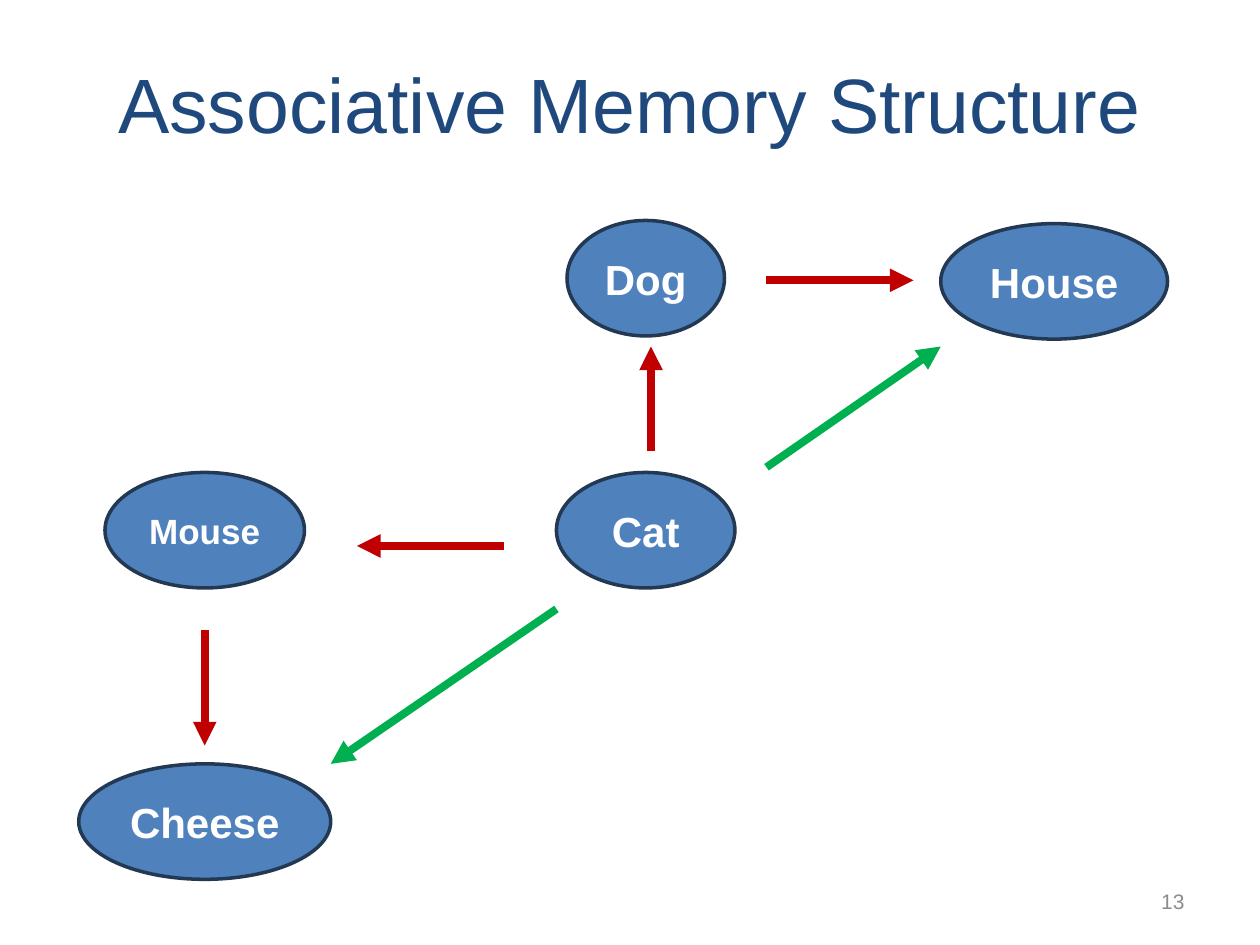
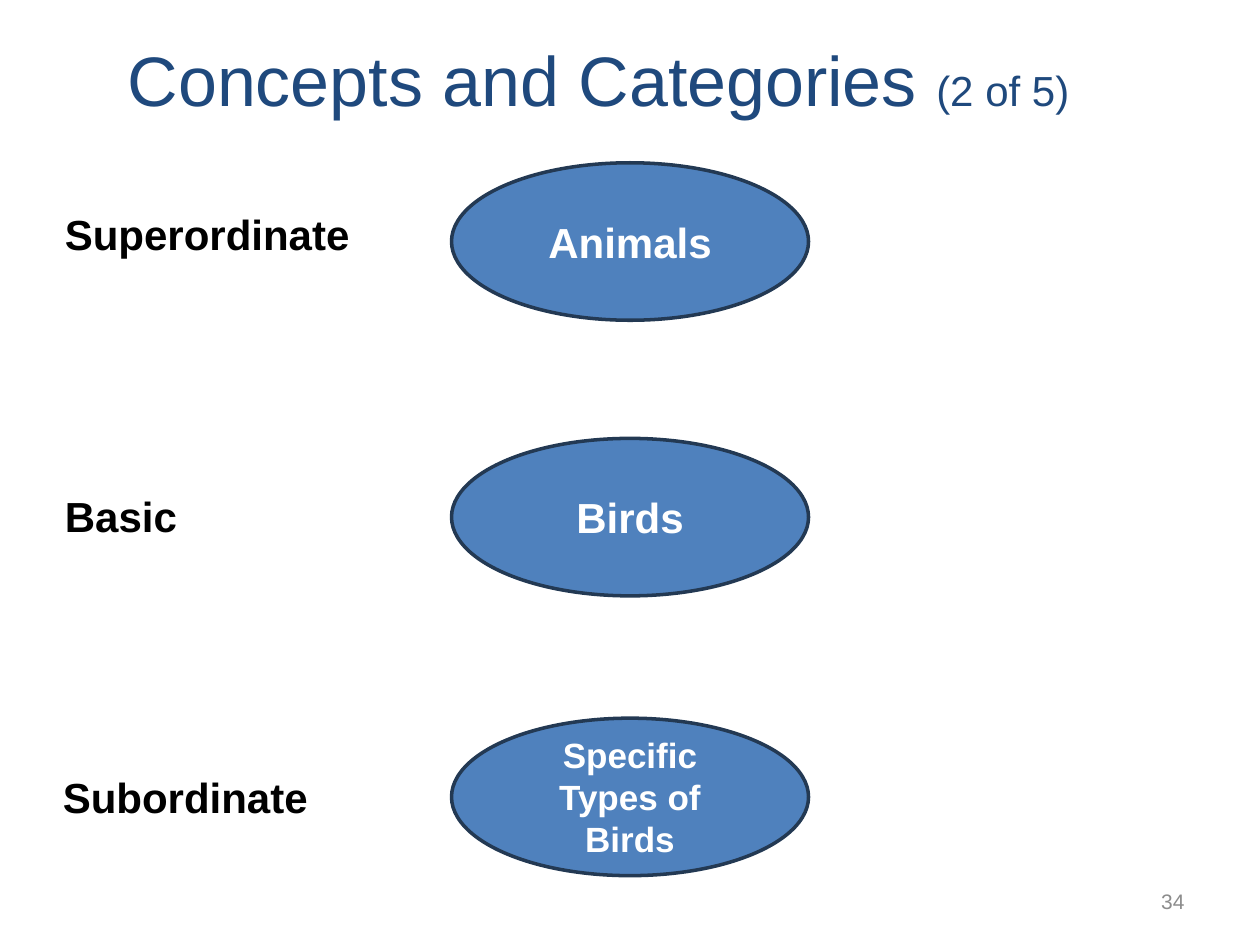
import pptx
import pptx.util
from lxml import etree
from pptx.dml.color import RGBColor
from pptx.enum.shapes import MSO_CONNECTOR, MSO_SHAPE
from pptx.enum.text import MSO_ANCHOR, MSO_AUTO_SIZE, PP_ALIGN
from pptx.oxml.ns import qn

COLUMNS, ROWS = 120, 90
TITLE_ONLY = 5
NAVY, BLUE, OUTLINE = "1F497D", "4F81BD", "233953"
RED, GREEN = "C00000", "00B050"
WHITE, BLACK, GREY = "FFFFFF", "000000", "8C8C8C"


def rgb(value):
    return RGBColor.from_string(value)


def add_run(p, text, size=24, color=BLACK, bold=False, font="Arial"):
    r = p.add_run()
    r.text = text
    r.font.name = font
    r.font.size = pptx.util.Pt(size)
    r.font.bold = bold
    r.font.color.rgb = rgb(color)


def write(shape, text, align=PP_ALIGN.CENTER, anchor=MSO_ANCHOR.MIDDLE,
          auto_size=MSO_AUTO_SIZE.NONE, **fmt):
    """Set the only paragraph of a shape and return it."""
    tf = shape.text_frame
    tf.word_wrap = True
    tf.auto_size = auto_size
    tf.vertical_anchor = anchor
    p = tf.paragraphs[0]
    p.alignment = align
    add_run(p, text, **fmt)
    return p


class Deck:
    """Presentation style and current slide; lengths are grid columns and rows."""

    def __init__(self):
        self.prs = pptx.Presentation()
        self.prs.slide_width = pptx.util.Inches(10)
        self.prs.slide_height = pptx.util.Inches(7.5)
        self.s = None

    def x(self, columns):
        return round(self.prs.slide_width * columns / COLUMNS)

    def y(self, rows):
        return round(self.prs.slide_height * rows / ROWS)

    def box(self, left, top, width, height):
        return self.x(left), self.y(top), self.x(width), self.y(height)

    def slide(self, number):
        self.s = self.prs.slides.add_slide(self.prs.slide_layouts[TITLE_ONLY])
        sp = self.s.shapes.add_textbox(*self.box(108, 83.4, 6, 4.8))
        write(sp, str(number), align=PP_ALIGN.RIGHT, size=12, color=GREY)

    def title(self, text, left, top, size, part=None):
        sp = self.s.shapes.title
        sp.left, sp.top, sp.width, sp.height = self.box(left, top, 108, 15)
        p = write(sp, text, size=size, color=NAVY)
        if part:
            add_run(p, part, color=NAVY)

    def ellipse(self, text, left, top, width, height, size=24):
        sp = self.s.shapes.add_shape(MSO_SHAPE.OVAL, *self.box(left, top, width, height))
        sp.shadow.inherit = False
        sp.fill.solid()
        sp.fill.fore_color.rgb = rgb(BLUE)
        sp.line.color.rgb = rgb(OUTLINE)
        sp.line.width = pptx.util.Pt(2)
        write(sp, text, size=size, color=WHITE, bold=True)

    def label(self, text, left, top):
        sp = self.s.shapes.add_textbox(*self.box(left, top, 34, 6))
        write(sp, text, align=PP_ALIGN.LEFT, anchor=MSO_ANCHOR.TOP,
              auto_size=MSO_AUTO_SIZE.SHAPE_TO_FIT_TEXT, bold=True)

    def arrow(self, start, end, color):
        line = self.s.shapes.add_connector(
            MSO_CONNECTOR.STRAIGHT, self.x(start[0]), self.y(start[1]),
            self.x(end[0]), self.y(end[1]))
        line.line.color.rgb = rgb(color)
        line.line.width = pptx.util.Pt(4.5)
        ln = line.line._get_or_add_ln()
        etree.SubElement(ln, qn("a:tailEnd"), type="triangle")
        etree.SubElement(line._element.spPr, qn("a:effectLst"))


def memory_slide(deck):
    deck.slide(13)
    deck.title("Associative Memory Structure", 6, 2.25, 44)
    concepts = [
        ("Dog", 54, 21, 15, 24),
        ("Mouse", 10, 45, 19, 20),
        ("Cheese", 7.5, 72.75, 24, 24),
        ("House", 89.6, 21.3, 21.6, 24),
        ("Cat", 53, 45, 17, 24),
    ]
    for name, left, top, width, size in concepts:
        deck.ellipse(name, left, top, width, 11, size)
    direct_links = [
        ((62, 43), (62, 33)),
        ((48, 52), (34, 52)),
        ((19.5, 60), (19.5, 71)),
        ((73, 26.7), (87, 26.7)),
    ]
    indirect_links = [((53, 58), (31.5, 72.75)), ((73, 44.5), (89.6, 33))]
    for color, links in ((RED, direct_links), (GREEN, indirect_links)):
        for start, end in links:
            deck.arrow(start, end, color)


def categories_slide(deck):
    deck.slide(34)
    deck.title("Concepts and Categories ", 3, 0, 40, part="(2 of 5)")
    levels = [
        ("Superordinate", 5, 19.3, "Animals", 15.5, 24),
        ("Basic", 5, 46.1, "Birds", 41.75, 24),
        ("Subordinate", 4.8, 72.85, "Specific Types of Birds", 68.4, 20),
    ]
    for level, left, label_top, example, top, size in levels:
        deck.ellipse(example, 43, top, 34, 15, size)
        deck.label(level, left, label_top)


def main():
    deck = Deck()
    memory_slide(deck)
    categories_slide(deck)
    deck.prs.save("out.pptx")


if __name__ == "__main__":
    main()
